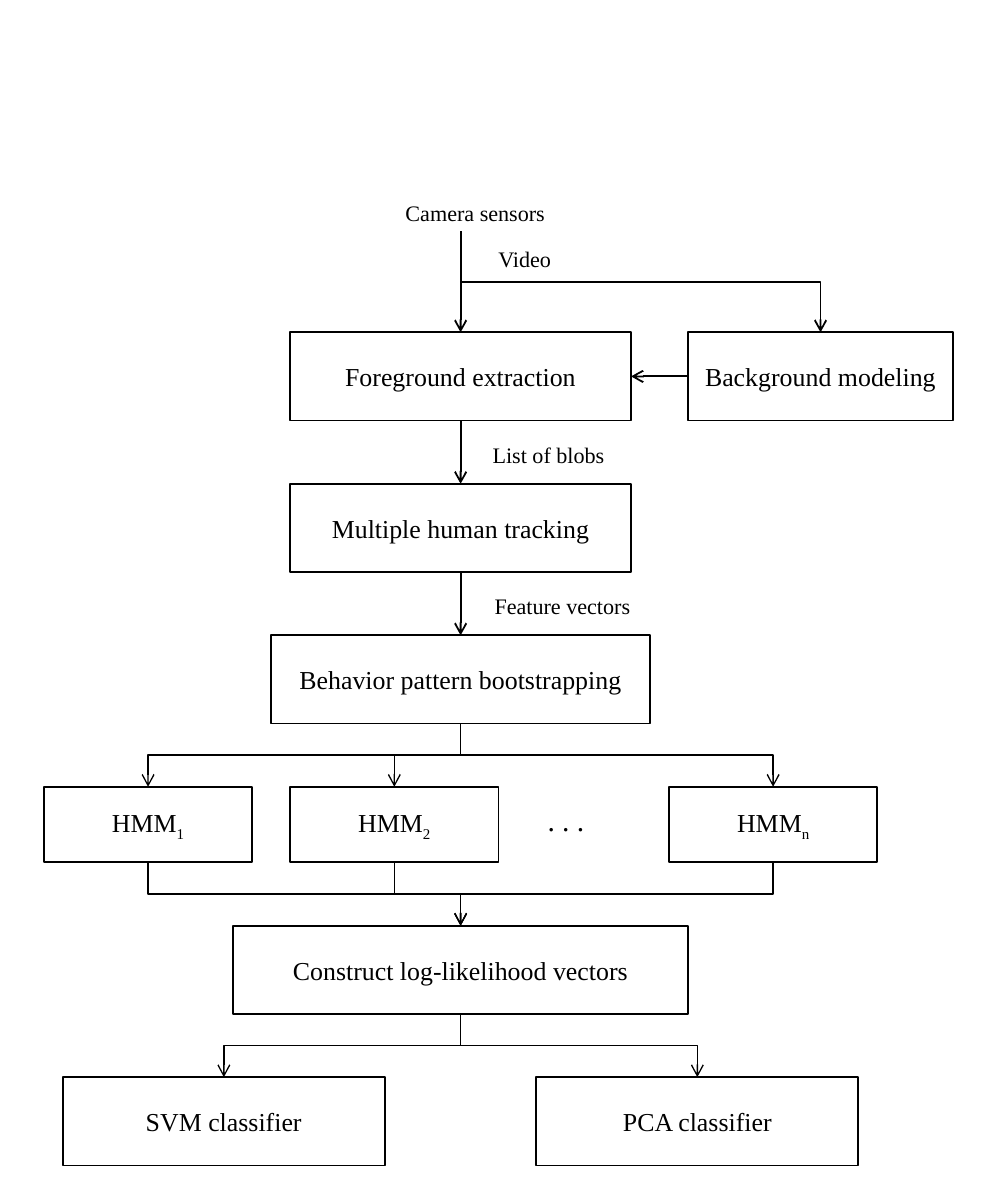
from dataclasses import dataclass

import pptx
import pptx.dml.color
import pptx.enum.shapes
import pptx.enum.text
import pptx.oxml
import pptx.oxml.ns
import pptx.util

COLORS = {"ink": "000000", "paper": "FFFFFF"}
FONT = "Times New Roman"
SLIDE_W, SLIDE_H = 7.5, 9.06
LEFT, TOP = 0.33, 1.74
COL, ROW = 0.57 / 4, 0.57 / 6
MIDDLE = 22  # column of the main flow
VIDEO_ROW = 4
SITE_TOP, SITE_LEFT, SITE_BOTTOM, SITE_RIGHT = range(4)
HEAVY, LIGHT = 1, 0.75
BENT = pptx.enum.shapes.MSO_CONNECTOR.ELBOW
STRAIGHT = pptx.enum.shapes.MSO_CONNECTOR.STRAIGHT


@dataclass(frozen=True)
class Stage:
    """A processing step, placed in columns and rows."""
    name: str
    col: float
    row: float
    cols: float
    rows: float = 7
    index: str = ""


@dataclass(frozen=True)
class Label:
    """A free caption, placed in columns and rows."""
    words: str
    col: float
    row: float
    cols: float
    rows: float = 3.25
    size: int = 12
    wraps: bool = False


@dataclass(frozen=True)
class Flow:
    """An arrow from the foot of one stage to the head of another."""
    source: str
    target: str
    weight: float = LIGHT


STAGES = [
    Stage("Foreground extraction", 13, 8, 18),
    Stage("Background modeling", 34, 8, 14),
    Stage("Multiple human tracking", 13, 20, 18),
    Stage("Behavior pattern bootstrapping", 12, 32, 20),
    Stage("HMM", 0, 44, 11, 6, "1"),
    Stage("HMM", 13, 44, 11, 6, "2"),
    Stage("HMM", 33, 44, 11, 6, "n"),
    Stage("Construct log-likelihood vectors", 10, 55, 24),
    Stage("SVM classifier", 1, 67, 17),
    Stage("PCA classifier", 26, 67, 17),
]
LABELS = [
    Label("Camera sensors", 18.4, -3, 8.8),
    Label("Video", 23.3, 0.6, 4.2),
    Label("List of blobs", 23, 16.1, 7.4),
    Label("Feature vectors", 23.1, 28.1, 8.7),
    Label(". . .", 25.9, 44.7, 6.1, 4, 16, True),
]
MODELS = [stage.name + stage.index for stage in STAGES if stage.index]
FLOWS = [
    Flow("Foreground extraction", "Multiple human tracking", HEAVY),
    Flow("Multiple human tracking", "Behavior pattern bootstrapping", HEAVY),
    *[Flow("Behavior pattern bootstrapping", model) for model in MODELS],
    *[Flow(model, "Construct log-likelihood vectors") for model in MODELS],
    *[Flow("Construct log-likelihood vectors", f"{kind} classifier")
      for kind in ("SVM", "PCA")],
]


def color(key: str) -> pptx.dml.color.RGBColor:
    """Look up a named colour."""
    return pptx.dml.color.RGBColor.from_string(COLORS[key])


def x_at(col: float) -> int:
    """Horizontal place of a grid column."""
    return pptx.util.Inches(LEFT + col * COL)


def y_at(row: float) -> int:
    """Vertical place of a grid row."""
    return pptx.util.Inches(TOP + row * ROW)


def area(part: Stage | Label) -> tuple:
    """Left, top, width and height of a part."""
    return (x_at(part.col), y_at(part.row),
            pptx.util.Inches(part.cols * COL), pptx.util.Inches(part.rows * ROW))


def add_run(paragraph, words: str, size: int, subscript: bool = False) -> None:
    """Append one formatted run."""
    run = paragraph.add_run()
    run.text = words
    run.font.name = FONT
    run.font.size = pptx.util.Pt(size)
    run.font.color.rgb = color("ink")
    if subscript:
        run.font._rPr.set("baseline", "-25000")


def draw_stage(slide, stage: Stage):
    """Draw a boxed step and return it."""
    box = slide.shapes.add_shape(
        pptx.enum.shapes.MSO_SHAPE.RECTANGLE, *area(stage))
    box.shadow.inherit = False
    box.fill.solid()
    box.fill.fore_color.rgb = color("paper")
    box.line.color.rgb = color("ink")
    box.line.width = pptx.util.Pt(HEAVY)
    box.text_frame.vertical_anchor = pptx.enum.text.MSO_ANCHOR.MIDDLE
    paragraph = box.text_frame.paragraphs[0]
    paragraph.alignment = pptx.enum.text.PP_ALIGN.CENTER
    add_run(paragraph, stage.name, 14)
    if stage.index:
        add_run(paragraph, stage.index, 14, subscript=True)
    return box


def draw_label(slide, label: Label) -> None:
    """Write a caption beside the flow."""
    frame = slide.shapes.add_textbox(*area(label)).text_frame
    frame.word_wrap = label.wraps
    frame.auto_size = pptx.enum.text.MSO_AUTO_SIZE.SHAPE_TO_FIT_TEXT
    add_run(frame.paragraphs[0], label.words, label.size)


def draw_arrow(slide, kind, weight: float, start=(0, 0), end=(0, 0)):
    """Draw a connector with an open arrowhead and return it."""
    arrow = slide.shapes.add_connector(kind, *start, *end)
    arrow.line.color.rgb = color("ink")
    arrow.line.width = pptx.util.Pt(weight)
    properties = arrow._element.spPr
    head = pptx.oxml.parse_xml(
        f'<a:tailEnd {pptx.oxml.ns.nsdecls("a")} type="arrow"/>')
    properties.find(pptx.oxml.ns.qn("a:ln")).append(head)
    properties.append(pptx.oxml.parse_xml(
        f'<a:effectLst {pptx.oxml.ns.nsdecls("a")}/>'))
    return arrow


def turn_down(arrow) -> None:
    """Turn an elbow so that it leaves and arrives vertically."""
    across, down = arrow.end_x - arrow.begin_x, arrow.end_y - arrow.begin_y
    center_x = (arrow.begin_x + arrow.end_x) // 2
    center_y = (arrow.begin_y + arrow.end_y) // 2
    arrow.width, arrow.height = down, abs(across)
    arrow.left, arrow.top = center_x - down // 2, center_y - abs(across) // 2
    frame = arrow._element.spPr.xfrm
    frame.flipH = across > 0
    frame.flipV = False
    frame.set("rot", str((270 if across > 0 else 90) * 60000))


def draw_flow(slide, flow: Flow, boxes: dict) -> None:
    """Connect two stages from foot to head."""
    arrow = draw_arrow(slide, BENT, flow.weight)
    arrow.begin_connect(boxes[flow.source], SITE_BOTTOM)
    arrow.end_connect(boxes[flow.target], SITE_TOP)
    turn_down(arrow)


def draw_video_input(slide, boxes: dict) -> None:
    """Feed the camera video to both extraction and modeling."""
    foreground, background = (
        boxes["Foreground extraction"], boxes["Background modeling"])
    camera = draw_arrow(slide, STRAIGHT, HEAVY, (x_at(MIDDLE), y_at(0)))
    camera.end_connect(foreground, SITE_TOP)
    branch = draw_arrow(slide, BENT, HEAVY, (x_at(MIDDLE), y_at(VIDEO_ROW)))
    branch.end_connect(background, SITE_TOP)
    outline = branch._element.spPr.find(pptx.oxml.ns.qn("a:prstGeom"))
    outline.set("prst", "bentConnector2")
    model = draw_arrow(slide, STRAIGHT, HEAVY)
    model.begin_connect(background, SITE_LEFT)
    model.end_connect(foreground, SITE_RIGHT)


deck = pptx.Presentation()
deck.slide_width = pptx.util.Inches(SLIDE_W)
deck.slide_height = pptx.util.Inches(SLIDE_H)
diagram = deck.slides.add_slide(deck.slide_layouts[6])
stage_boxes = {s.name + s.index: draw_stage(diagram, s) for s in STAGES}
draw_video_input(diagram, stage_boxes)
for step in FLOWS:
    draw_flow(diagram, step, stage_boxes)
for caption in LABELS:
    draw_label(diagram, caption)
deck.save("out.pptx")
